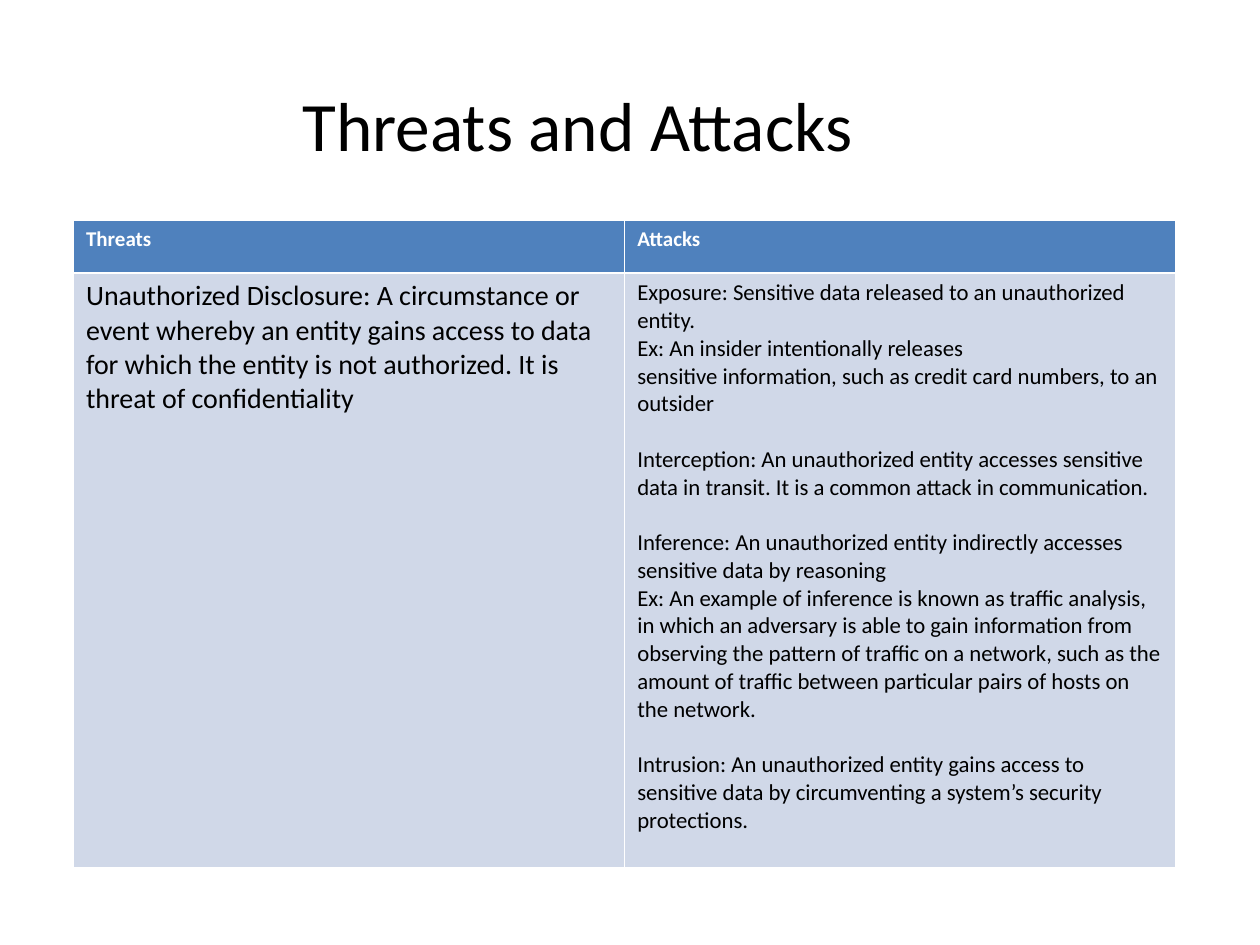
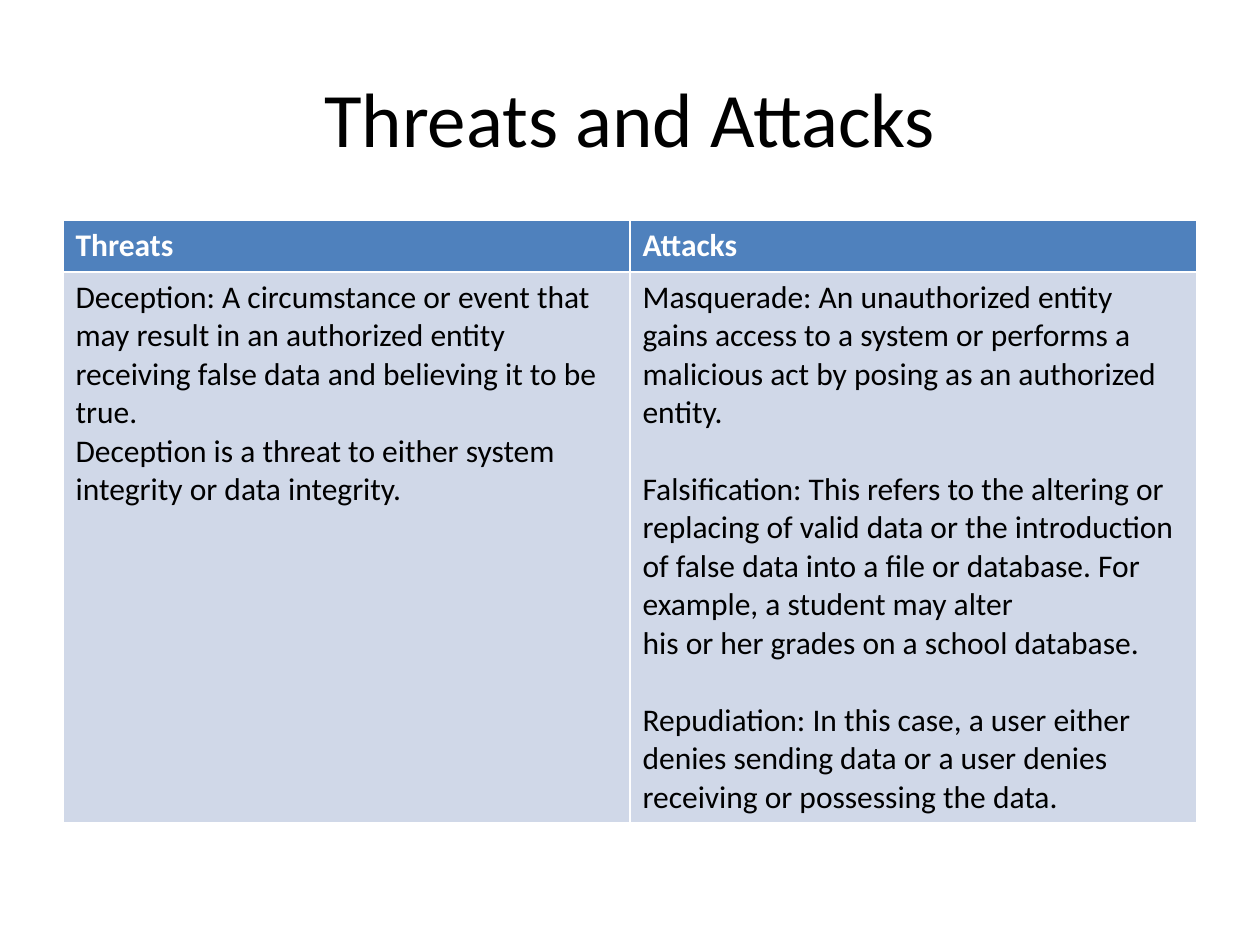
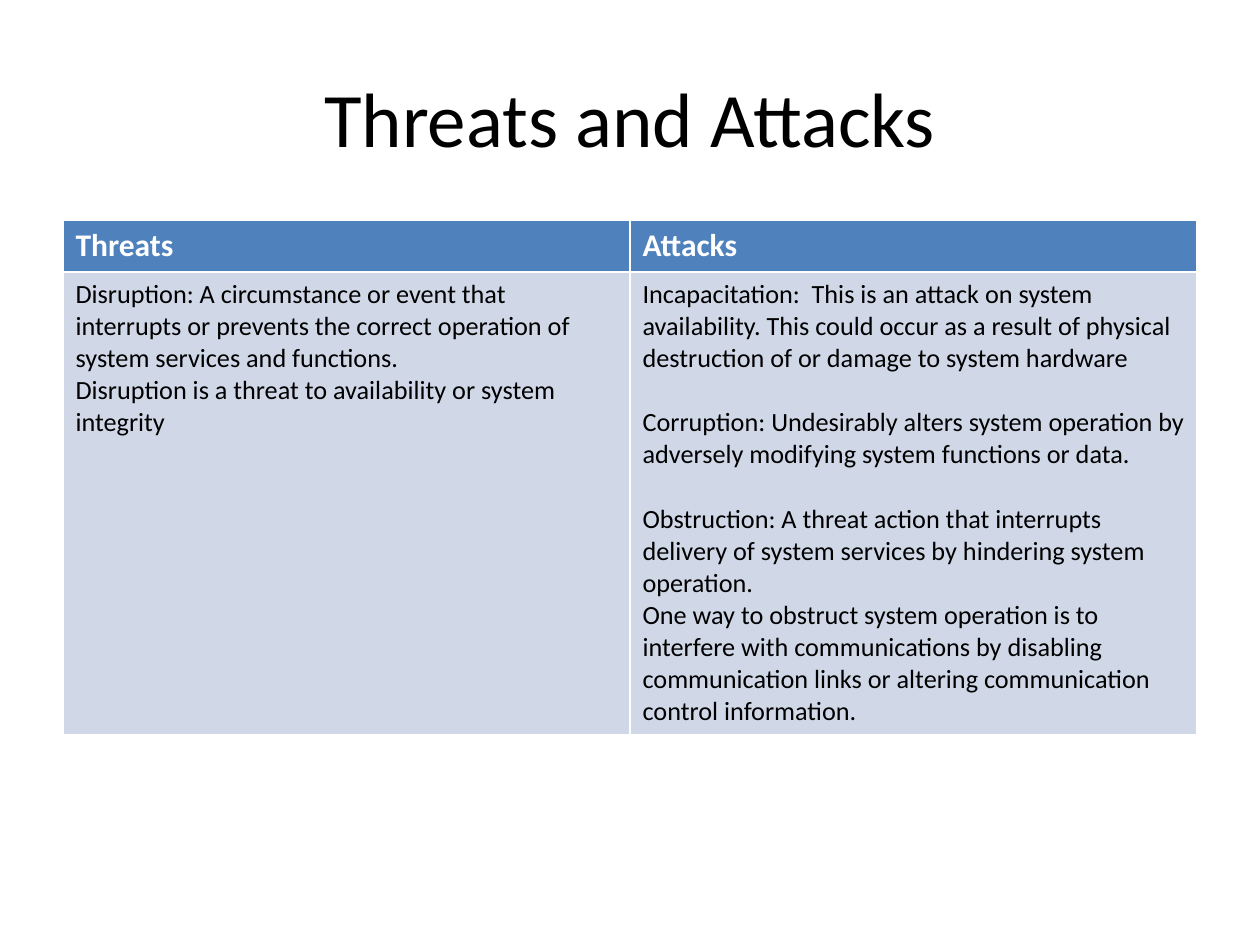
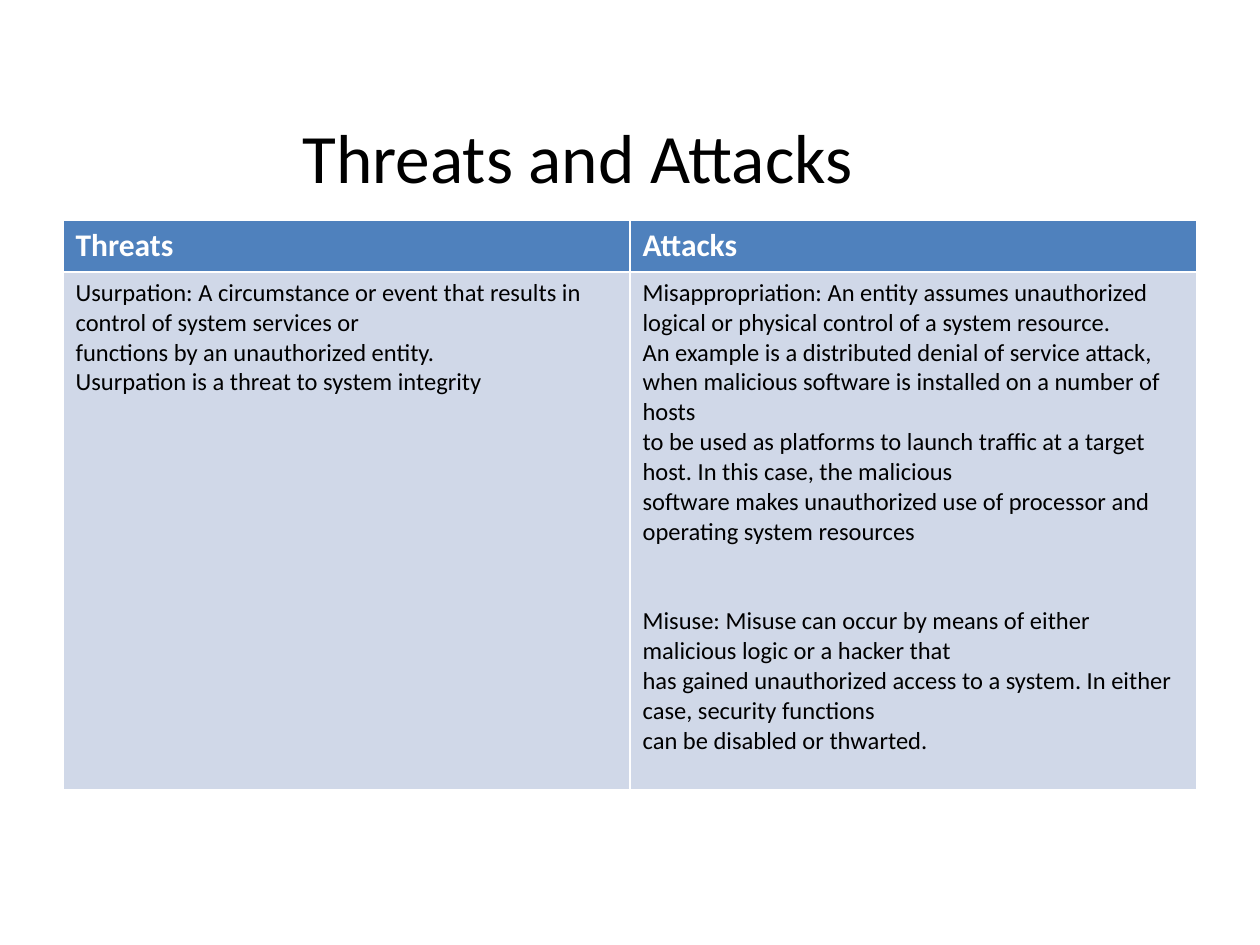
import pptx
import pptx.dml.color
import pptx.enum.text
import pptx.util

WHITE = pptx.dml.color.RGBColor(0xFF, 0xFF, 0xFF)
BLACK = pptx.dml.color.RGBColor(0x00, 0x00, 0x00)
HEADER_BLUE = pptx.dml.color.RGBColor(0x4F, 0x81, 0xBD)
BODY_BLUE = pptx.dml.color.RGBColor(0xD0, 0xD8, 0xE8)

FONT = "Calibri"
LINE_HEIGHT = 1.22
GRID_COLUMNS = 120
GRID_ROWS = 90
TITLE_ONLY = 5
TITLE = "Threats and Attacks"
HEADINGS = ("Threats", "Attacks")
TABLE_TOP = 21

WIDE_TITLE = {"box": (6, 3.6, 108, 15), "size": 44}
SHIFTED_TITLE = {"box": (9, 7, 92, 9.6), "size": 39.6}
LOW_TITLE = {"box": (9, 11, 92, 7.6), "size": 39.6}
WIDE_TABLE = {"left": 6, "width": 108, "header_height": 4.9, "header_size": 18}
NARROW_TABLE = {"left": 7, "width": 105, "header_height": 5, "header_size": 12}

SLIDES = [
    {
        "title": SHIFTED_TITLE,
        "table": {**NARROW_TABLE, "body_height": 56.6},
        "sizes": (16, 13),
        "threats": [[
            "Unauthorized Disclosure: A circumstance or event whereby an entity gains access to data for which the entity is not authorized. It is threat of confidentiality",
        ]],
        "attacks": [
            [
                "Exposure: Sensitive data released to an unauthorized entity.",
                "Ex: An insider intentionally releases",
                "sensitive information, such as credit card numbers, to an outsider",
            ],
            ["Interception: An unauthorized entity accesses sensitive data in transit. It is a common attack in communication."],
            [
                "Inference: An unauthorized entity indirectly accesses sensitive data by reasoning",
                "Ex: An example of inference is known as traffic analysis, in which an adversary is able to gain information from observing the pattern of traffic on a network, such as the amount of traffic between particular pairs of hosts on the network.",
            ],
            ["Intrusion: An unauthorized entity gains access to sensitive data by circumventing a system’s security protections."],
        ],
    },
    {
        "title": WIDE_TITLE,
        "table": {**WIDE_TABLE, "body_height": 52.5},
        "sizes": (18, 18),
        "threats": [[
            "Deception: A circumstance or event that may result in an authorized entity receiving false data and believing it to be true.",
            "Deception is a threat to either system integrity or data integrity.",
        ]],
        "attacks": [
            ["Masquerade: An unauthorized entity gains access to a system or performs a malicious act by posing as an authorized entity."],
            [
                "Falsification: This refers to the altering or replacing of valid data or the introduction",
                "of false data into a file or database. For example, a student may alter",
                "his or her grades on a school database.",
            ],
            [
                "Repudiation: In this case, a user either denies sending data or a user denies",
                "receiving or possessing the data.",
            ],
        ],
    },
    {
        "title": WIDE_TITLE,
        "table": {**WIDE_TABLE, "body_height": 44.1},
        "sizes": (15, 15),
        "threats": [[
            "Disruption: A circumstance or event that interrupts or prevents the correct operation of system services and functions.",
            "Disruption is a threat to availability or system integrity",
        ]],
        "attacks": [
            ["Incapacitation:  This is an attack on system availability. This could occur as a result of physical destruction of or damage to system hardware"],
            ["Corruption: Undesirably alters system operation by adversely modifying system functions or data."],
            [
                "Obstruction: A threat action that interrupts delivery of system services by hindering system operation.",
                "One way to obstruct system operation is to interfere with communications by disabling communication links or altering communication",
                "control information.",
            ],
        ],
    },
    {
        "title": LOW_TITLE,
        "table": {**WIDE_TABLE, "body_height": 49.3},
        "sizes": (14, 14),
        "gap_lines": 2,
        "threats": [[
            "Usurpation: A circumstance or event that results in control of system services or",
            "functions by an unauthorized entity.",
            "Usurpation is a threat to system integrity",
        ]],
        "attacks": [
            [
                "Misappropriation: An entity assumes unauthorized logical or physical control of a system resource.",
                "An example is a distributed denial of service attack, when malicious software is installed on a number of hosts",
                "to be used as platforms to launch traffic at a target host. In this case, the malicious",
                "software makes unauthorized use of processor and operating system resources",
            ],
            [
                "Misuse: Misuse can occur by means of either malicious logic or a hacker that",
                "has gained unauthorized access to a system. In either case, security functions",
                "can be disabled or thwarted.",
            ],
        ],
    },
]


class Deck:
    def __init__(self):
        self.presentation = pptx.Presentation()
        self.presentation.slide_width = pptx.util.Inches(10)
        self.presentation.slide_height = pptx.util.Inches(7.5)
        self.slide = None

    def columns(self, count):
        return round(self.presentation.slide_width * count / GRID_COLUMNS)

    def rows(self, count):
        return round(self.presentation.slide_height * count / GRID_ROWS)

    def apply(self, target, values):
        for name, value in values.items():
            setattr(target, name, value)

    def format_font(self, paragraph, size, color, bold=False):
        self.apply(paragraph.font, {"name": FONT, "size": pptx.util.Pt(size), "bold": bold})
        paragraph.font.color.rgb = color

    def add_slide(self):
        layout = self.presentation.slide_layouts[TITLE_ONLY]
        self.slide = self.presentation.slides.add_slide(layout)

    def add_title(self, text, box, size):
        left, top, width, height = box
        title = self.slide.shapes.title
        self.apply(title, {
            "left": self.columns(left), "top": self.rows(top),
            "width": self.columns(width), "height": self.rows(height),
        })
        self.apply(title.text_frame, {
            "text": text,
            "word_wrap": True,
            "auto_size": pptx.enum.text.MSO_AUTO_SIZE.NONE,
            "vertical_anchor": pptx.enum.text.MSO_ANCHOR.MIDDLE,
        })
        paragraph = title.text_frame.paragraphs[0]
        paragraph.alignment = pptx.enum.text.PP_ALIGN.CENTER
        self.format_font(paragraph, size, BLACK)

    def fill_cell(self, cell, groups, fill, size, color, bold=False, gap_lines=1):
        cell.fill.solid()
        cell.fill.fore_color.rgb = fill
        cell.text_frame.text = "\n".join(text for group in groups for text in group)
        paragraphs = iter(cell.text_frame.paragraphs)
        for group_index, group in enumerate(groups):
            for text_index in range(len(group)):
                paragraph = next(paragraphs)
                if group_index and text_index == 0:
                    paragraph.space_before = pptx.util.Pt(round(gap_lines * LINE_HEIGHT * size, 1))
                self.format_font(paragraph, size, color, bold)

    def add_table(self, left, width, header_height, header_size, body_height, bodies, sizes, gap_lines):
        table = self.slide.shapes.add_table(
            2, len(HEADINGS), self.columns(left), self.rows(TABLE_TOP),
            self.columns(width), self.rows(header_height + body_height),
        ).table
        for row, height in zip(table.rows, (header_height, body_height)):
            row.height = self.rows(height)
        for column, (heading, body, size) in enumerate(zip(HEADINGS, bodies, sizes)):
            self.fill_cell(table.cell(0, column), [[heading]], HEADER_BLUE, header_size, WHITE, bold=True)
            self.fill_cell(table.cell(1, column), body, BODY_BLUE, size, BLACK, gap_lines=gap_lines)


def main():
    deck = Deck()
    for content in SLIDES:
        deck.add_slide()
        deck.add_title(TITLE, **content["title"])
        deck.add_table(
            **content["table"],
            bodies=(content["threats"], content["attacks"]),
            sizes=content["sizes"],
            gap_lines=content.get("gap_lines", 1),
        )
    deck.presentation.save("out.pptx")


if __name__ == "__main__":
    main()
